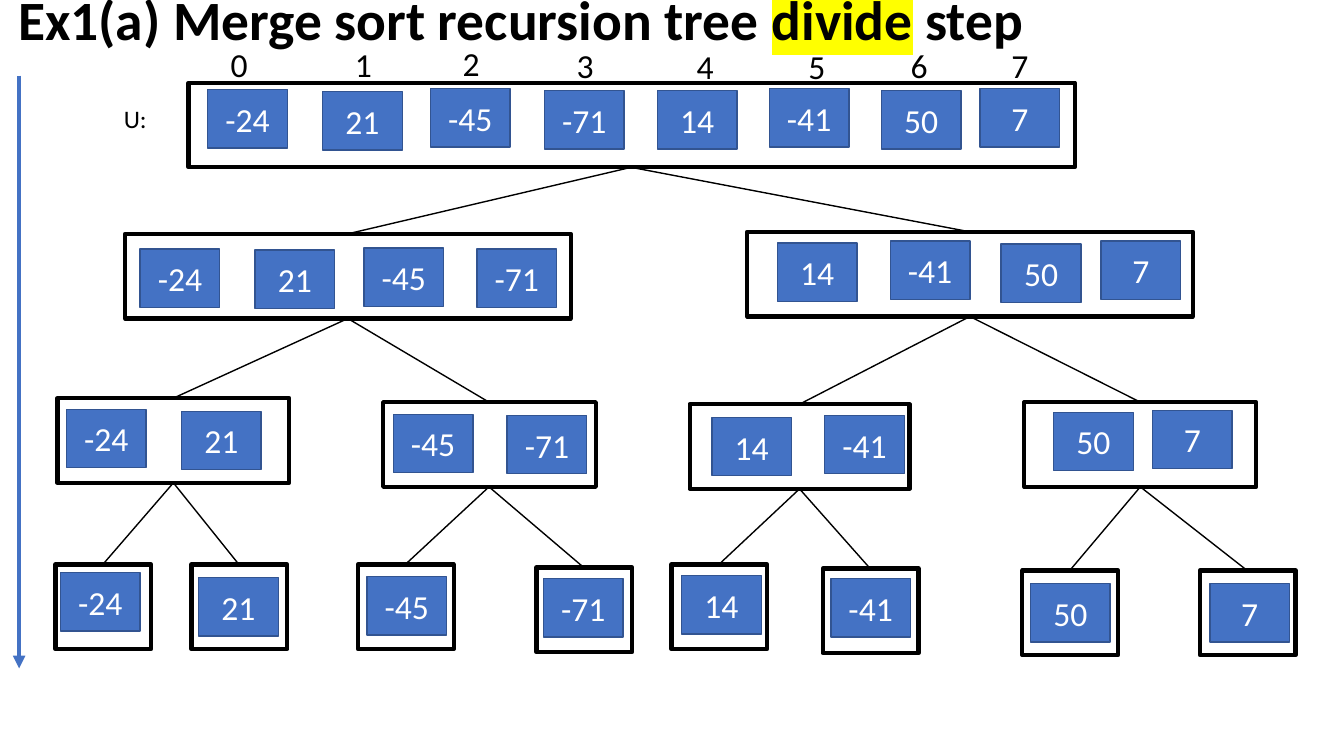
from lxml.etree import SubElement
from pptx import Presentation
from pptx.dml.color import RGBColor
from pptx.enum.shapes import MSO_CONNECTOR as Connector, MSO_SHAPE as Shape
from pptx.enum.text import MSO_ANCHOR as Anchor, MSO_AUTO_SIZE as Fit, PP_ALIGN as Align
from pptx.oxml.ns import qn
from pptx.util import Pt

PX = 9144
COLORS = {"ink": "000000", "cell": "4472C4", "edge": "325491", "light": "FFFFFF", "mark": "FFFF00"}
FONT = "Calibri"
CELL_WIDTH, CELL_HEIGHT, FRAME_HEIGHT = 79, 58, 84

VALUES = [-24, 21, -45, -71, 14, -41, 50, 7]
INDEX_LABELS = [(219, 39, 21), (342, 39, 21), (449, 38, 21), (562, 40, 21),
                (681, 41, 21), (792, 41, 28), (894, 40, 19), (994, 40, 19)]
LEVELS = [
    {"frames": [(187, 82, 879)],
     "cells": [(206, 89), (320, 91), (427, 88), (540, 90),
               (652, 90), (763, 88), (874, 90), (972, 88)]},
    {"frames": [(124, 232, 442), (741, 230, 442)],
     "cells": [(139, 247), (253, 248), (361, 246), (473, 247),
               (771, 241), (883, 239), (993, 242), (1092, 239)]},
    {"frames": [(57, 395, 230), (380, 399, 211), (684, 401, 218), (1016, 399, 230)],
     "cells": [(66, 406), (180, 408), (390, 411), (503, 412),
               (706, 414), (818, 412), (1045, 409), (1143, 407)]},
    {"frames": [(55, 560, 95), (190, 560, 95), (355, 560, 95), (532, 563, 95),
                (666, 560, 95), (816, 564, 95), (1014, 566, 95), (1190, 566, 95)],
     "cells": [(60, 568), (197, 573), (364, 572), (539, 574),
               (676, 571), (824, 574), (1022, 579), (1200, 579)]},
]


def color(name):
    return RGBColor.from_string(COLORS[name])


class TreePage:
    def __init__(self, deck):
        self.page = deck.slides.add_slide(deck.slide_layouts[5])
        self.shapes = self.page.shapes

    def place(self, *lengths):
        return [length * PX for length in lengths]

    def apply(self, target, values):
        for name, value in values.items():
            setattr(target, name, value)

    def span(self, para, text, size, ink="ink", bold=False, mark=None):
        span = para.add_run()
        span.text = text
        self.apply(span.font, {"name": FONT, "size": Pt(size), "bold": bold})
        span.font.color.rgb = color(ink)
        if mark:
            properties = span.font._element
            highlight = SubElement(properties, qn("a:highlight"))
            SubElement(highlight, qn("a:srgbClr")).set("val", COLORS[mark])
            properties.find(qn("a:latin")).addprevious(highlight)

    def title(self, spans, left, top, width, height):
        box = self.shapes.title
        places = zip(("left", "top", "width", "height"), self.place(left, top, width, height))
        self.apply(box, dict(places))
        self.apply(box.text_frame, {"vertical_anchor": Anchor.MIDDLE, "word_wrap": True,
                                    "auto_size": Fit.NONE})
        para = box.text_frame.paragraphs[0]
        self.apply(para, {"alignment": Align.LEFT, "line_spacing": 0.9})
        for text, mark in spans:
            self.span(para, text, 39.6, bold=True, mark=mark)

    def label(self, text, left, top, width, height, size):
        box = self.shapes.add_textbox(*self.place(left, top, width, height))
        self.apply(box.text_frame, {"word_wrap": True, "auto_size": Fit.SHAPE_TO_FIT_TEXT})
        self.span(box.text_frame.paragraphs[0], text, size)

    def rectangle(self, left, top, width, height, line, weight):
        box = self.shapes.add_shape(Shape.RECTANGLE, *self.place(left, top, width, height))
        box.shadow.inherit = False
        box.line.color.rgb = color(line)
        box.line.width = Pt(weight)
        return box

    def frame(self, left, top, width):
        box = self.rectangle(left, top, width, FRAME_HEIGHT, "ink", 3)
        box.fill.background()

    def cell(self, value, left, top):
        box = self.rectangle(left, top, CELL_WIDTH, CELL_HEIGHT, "edge", 1)
        box.fill.solid()
        box.fill.fore_color.rgb = color("cell")
        box.text_frame.vertical_anchor = Anchor.MIDDLE
        para = box.text_frame.paragraphs[0]
        para.alignment = Align.CENTER
        self.span(para, str(value), 24, "light")

    def line(self, start, end, ink="ink", weight=1, arrow=False):
        line = self.shapes.add_connector(Connector.STRAIGHT, *self.place(*start, *end))
        line.line.color.rgb = color(ink)
        line.line.width = Pt(weight)
        if arrow:
            SubElement(line.line._get_or_add_ln(), qn("a:tailEnd")).set("type", "triangle")
        SubElement(line._element.spPr, qn("a:effectLst"))

    def branch(self, parent, child):
        left, top, width = parent
        child_left, child_top, child_width = child
        self.line((left + width // 2, top + FRAME_HEIGHT),
                  (child_left + child_width // 2, child_top))


def main():
    deck = Presentation()
    deck.slide_width, deck.slide_height = 1333 * PX, 750 * PX
    tree = TreePage(deck)
    tree.title([("Ex1(a) Merge sort recursion tree ", None), ("divide", "mark"), (" step", None)],
               8, -2, 1043, 48)
    tree.label("U:", 113, 98, 64, 40, 18)
    for index, (left, top, width) in enumerate(INDEX_LABELS):
        tree.label(str(index), left, top, width, 50, 24)
    for level in LEVELS:
        for frame in level["frames"]:
            tree.frame(*frame)
        for value, corner in zip(VALUES, level["cells"]):
            tree.cell(value, *corner)
    for upper, lower in zip(LEVELS, LEVELS[1:]):
        for number, child in enumerate(lower["frames"]):
            tree.branch(upper["frames"][number // 2], child)
    tree.line((19, 75), (19, 663), "cell", 3, arrow=True)
    deck.save("out.pptx")


if __name__ == "__main__":
    main()
